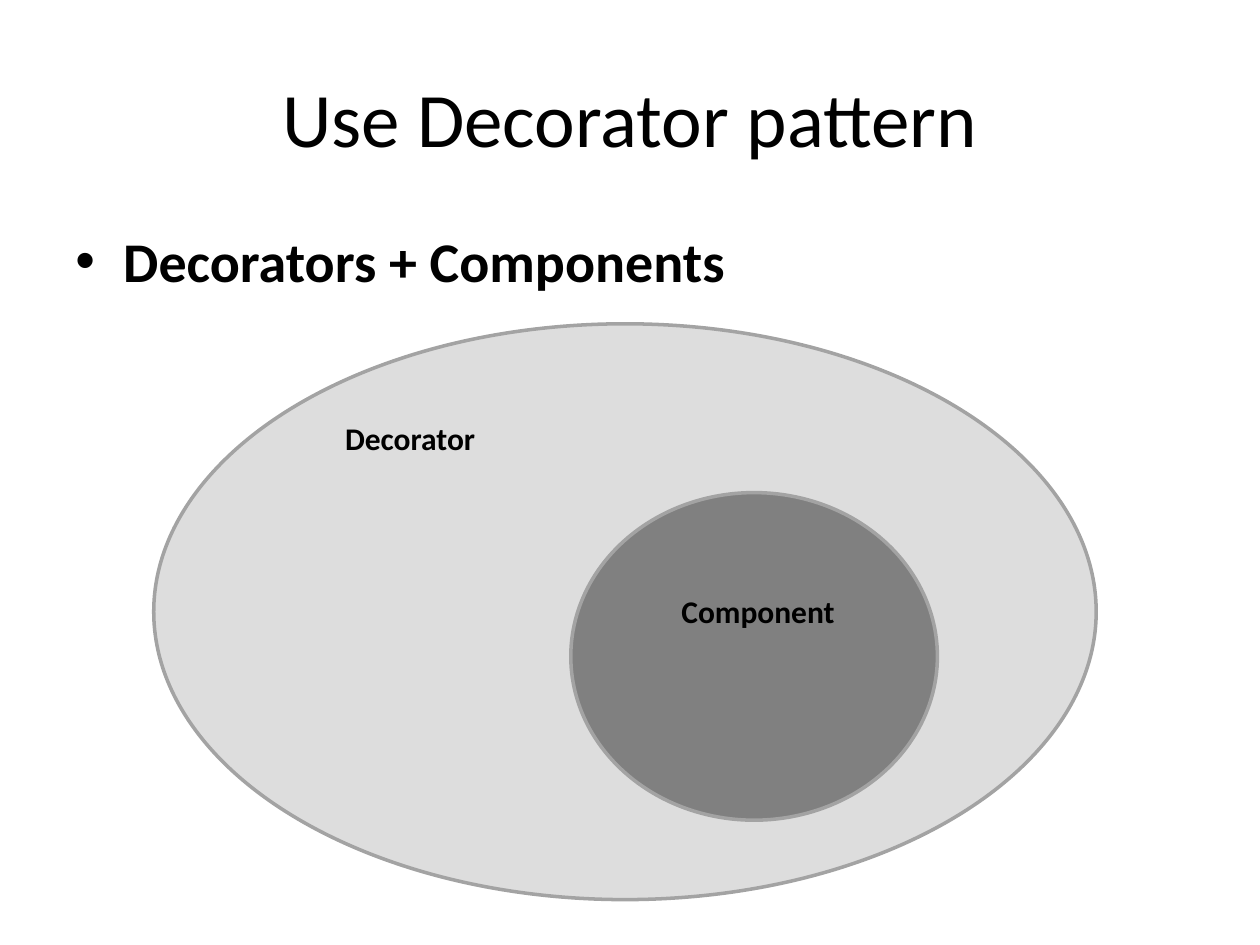
from dataclasses import dataclass

from lxml.etree import SubElement
from pptx import Presentation
from pptx.dml.color import RGBColor
from pptx.enum.shapes import MSO_SHAPE as Preset
from pptx.enum.text import MSO_ANCHOR as Anchor, PP_ALIGN as Align
from pptx.oxml.ns import qn
from pptx.slide import Slide
from pptx.util import Inches, Pt


@dataclass(frozen=True)
class Theme:
    font: str = "Calibri"
    ink: str = "000000"
    outline: str = "A3A3A3"
    decorator: str = "DDDDDD"
    component: str = "808080"
    outline_width: float = 2
    title_size: int = 44
    body_size: int = 32
    label_size: int = 18


@dataclass(frozen=True)
class Box:
    left: float
    top: float
    width: float
    height: float

    def lengths(self) -> tuple[Inches, ...]:
        return tuple(Inches(v) for v in (self.left, self.top, self.width, self.height))


@dataclass(frozen=True)
class Caption:
    text: str
    box: Box
    size: int
    bold: bool = True
    align: Align = Align.LEFT
    anchor: Anchor = Anchor.TOP
    bullet: str = ""


@dataclass(frozen=True)
class Oval:
    box: Box
    fill: str


THEME = Theme()
HANGING = Inches(0.38)

OVALS = (
    Oval(Box(1.22, 2.57, 7.48, 4.57), THEME.decorator),
    Oval(Box(4.53, 3.91, 2.91, 2.6), THEME.component),
)
CAPTIONS = (
    Caption("Use Decorator pattern", Box(0.5, 0.3, 9, 1.25), THEME.title_size,
            bold=False, align=Align.CENTER, anchor=Anchor.MIDDLE),
    Caption("Decorators + Components", Box(0.5, 1.75, 9, 4.95), THEME.body_size, bullet="•"),
    Caption("Decorator", Box(2.64, 3.28, 1.57, 0.4), THEME.label_size),
    Caption("Component", Box(5.31, 4.65, 1.57, 0.4), THEME.label_size),
)


def draw_oval(slide: Slide, oval: Oval) -> None:
    ellipse = slide.shapes.add_shape(Preset.OVAL, *oval.box.lengths())
    ellipse.shadow.inherit = False
    ellipse.fill.solid()
    ellipse.fill.fore_color.rgb = RGBColor.from_string(oval.fill)
    ellipse.line.color.rgb = RGBColor.from_string(THEME.outline)
    ellipse.line.width = Pt(THEME.outline_width)


def draw_caption(slide: Slide, caption: Caption) -> None:
    frame = slide.shapes.add_textbox(*caption.box.lengths()).text_frame
    frame.word_wrap = True
    frame.vertical_anchor = caption.anchor
    paragraph = frame.paragraphs[0]
    paragraph.alignment = caption.align
    if caption.bullet:
        properties = paragraph._p.get_or_add_pPr()
        properties.set("marL", str(HANGING))
        properties.set("indent", str(-HANGING))
        SubElement(properties, qn("a:buFont"), typeface="Arial")
        SubElement(properties, qn("a:buChar"), char=caption.bullet)
    run = paragraph.add_run()
    run.text = caption.text
    run.font.name = THEME.font
    run.font.size = Pt(caption.size)
    run.font.bold = caption.bold
    run.font.color.rgb = RGBColor.from_string(THEME.ink)


def main() -> None:
    deck = Presentation()
    deck.slide_width, deck.slide_height = Inches(10), Inches(7.5)
    slide = deck.slides.add_slide(deck.slide_layouts[6])
    for oval in OVALS:
        draw_oval(slide, oval)
    for caption in CAPTIONS:
        draw_caption(slide, caption)
    deck.save("out.pptx")


if __name__ == "__main__":
    main()
